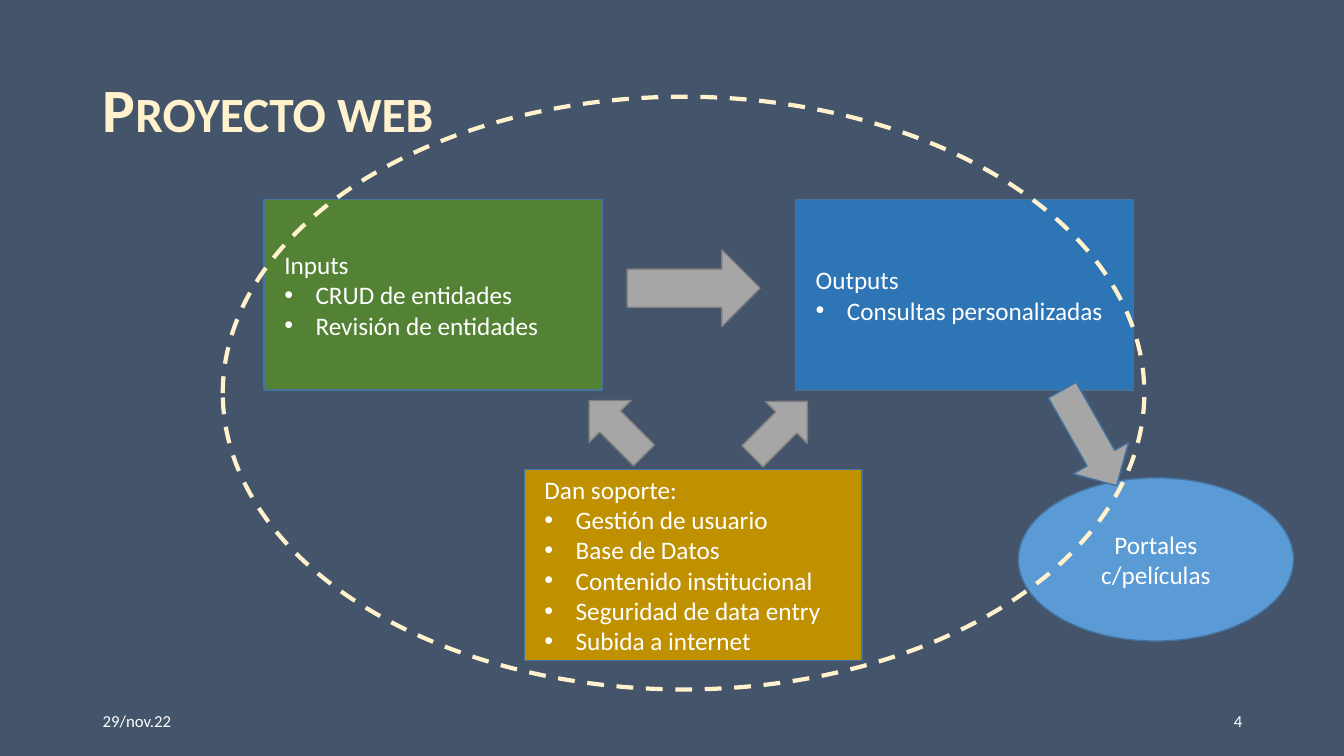
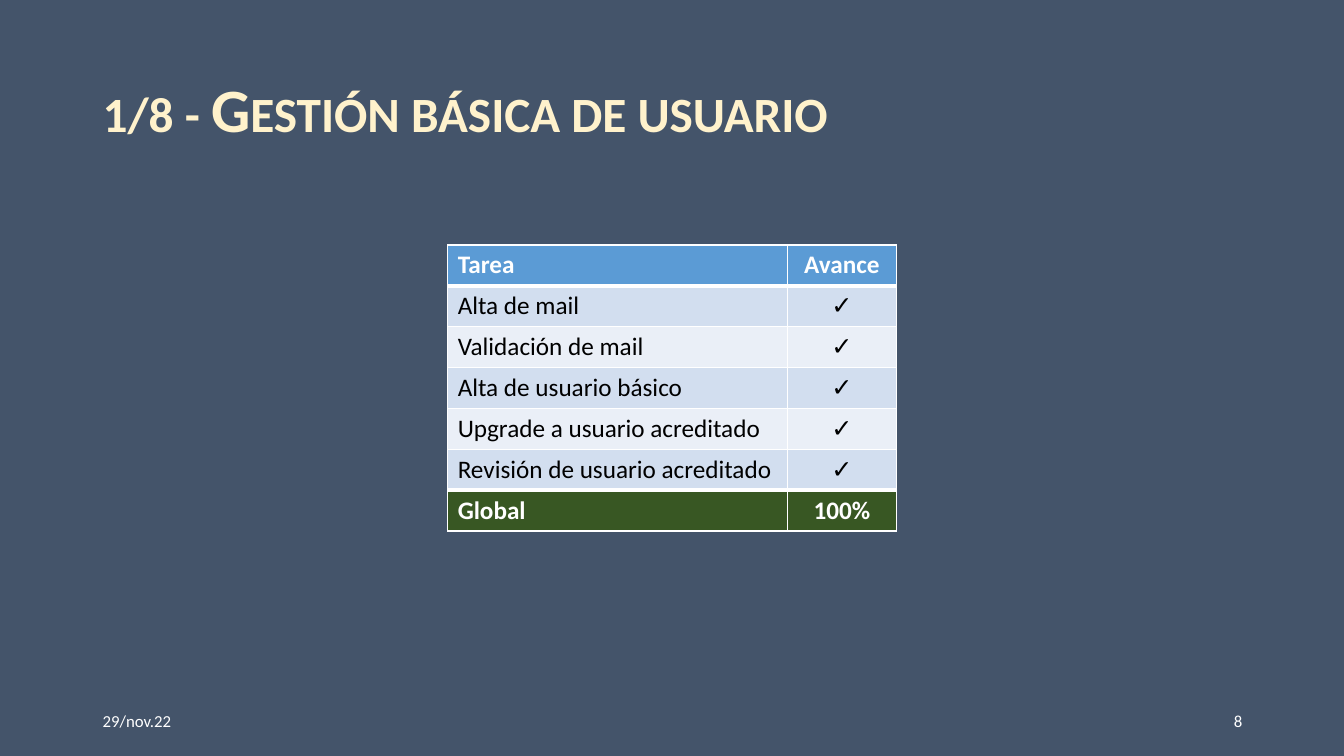
"""Build two progress slides for a web project: its scope diagram and a task table."""
from dataclasses import dataclass

from lxml.etree import SubElement
from pptx import Presentation
from pptx.dml.color import RGBColor
from pptx.enum.dml import MSO_LINE
from pptx.enum.shapes import MSO_SHAPE as Preset
from pptx.enum.text import MSO_ANCHOR as Anchor, MSO_AUTO_SIZE as AutoSize, PP_ALIGN as Align
from pptx.oxml.ns import qn
from pptx.util import Inches, Pt

FONT = "Calibri"
COLORS = {
    "background": "44546A",
    "cream": "FFF2CC",
    "white": "FFFFFF",
    "black": "000000",
    "green": "548235",
    "blue": "2E75B6",
    "gold": "BF9000",
    "sky": "5B9BD5",
    "outline": "43739E",
    "arrow": "A6A6A6",
    "arrow_edge": "808080",
    "band_dark": "D2DEEF",
    "band_light": "EAEFF7",
    "total": "385723",
}
DATE = "29/nov.22"
MARGIN = 0.92
CONTENT_WIDTH = 11.5
FOOTER_WIDTH = 3
PANEL_SIZE = (3.35, 1.89)
BULLET_INDENT = 0.31


@dataclass(frozen=True)
class Panel:
    left: float
    top: float
    color: str
    heading: str
    items: tuple[str, ...]


@dataclass(frozen=True)
class Arrow:
    left: float
    top: float
    width: float
    height: float
    rotation: float = 0
    edge: str = "arrow_edge"


@dataclass(frozen=True)
class TaskRow:
    task: str
    progress: str
    fill: str
    color: str = "black"
    bold: bool = False
    top_line: float = 1
    bottom_line: float = 1


PANELS = (
    Panel(2.62, 1.98, "green", "Inputs", ("CRUD de entidades", "Revisión de entidades")),
    Panel(7.89, 1.98, "blue", "Outputs", ("Consultas personalizadas",)),
    Panel(5.2, 4.66, "gold", "Dan soporte:", (
        "Gestión de usuario",
        "Base de Datos",
        "Contenido institucional",
        "Seguridad de data entry",
        "Subida a internet",
    )),
)
ARROWS = (
    Arrow(6.22, 2.48, 1.32, 0.76),
    Arrow(7.35, 3.96, 0.77, 0.59, 315),
    Arrow(5.73, 3.95, 0.77, 0.59, 225),
    Arrow(10.26, 4.03, 1.09, 0.63, 60.4, "outline"),
)
TASKS = (
    "Alta de mail",
    "Validación de mail",
    "Alta de usuario básico",
    "Upgrade a usuario acreditado",
    "Revisión de usuario acreditado",
)


def rgb(name: str) -> RGBColor:
    return RGBColor.from_string(COLORS[name])


def add_run(paragraph, text: str, size: float = 18, color: str = "white", bold: bool = False):
    run = paragraph.add_run()
    run.text = text
    run.font.name = FONT
    run.font.size = Pt(size)
    run.font.bold = bold
    run.font.color.rgb = rgb(color)
    return run


def add_text_box(slide, left: float, top: float, width: float, height: float):
    frame = slide.shapes.add_textbox(
        Inches(left), Inches(top), Inches(width), Inches(height)).text_frame
    frame.word_wrap = True
    return frame


def add_footer(slide, left: float, text: str, align: Align) -> None:
    frame = add_text_box(slide, left, 6.95, FOOTER_WIDTH, 0.4)
    frame.vertical_anchor = Anchor.MIDDLE
    paragraph = frame.paragraphs[0]
    paragraph.alignment = align
    add_run(paragraph, text, 12)


def add_slide(deck, title: str, number: int):
    slide = deck.slides.add_slide(deck.slide_layouts[6])
    slide.background.fill.solid()
    slide.background.fill.fore_color.rgb = rgb("background")
    frame = add_text_box(slide, MARGIN, 0.74, CONTENT_WIDTH, 0.77)
    frame.auto_size = AutoSize.SHAPE_TO_FIT_TEXT
    paragraph = frame.paragraphs[0]
    paragraph.line_spacing = 0.9
    run = add_run(paragraph, title, 44, "cream", True)
    run.font._element.set("cap", "small")
    add_footer(slide, MARGIN, DATE, Align.LEFT)
    add_footer(slide, MARGIN + CONTENT_WIDTH - FOOTER_WIDTH, str(number), Align.RIGHT)
    return slide


def add_preset(slide, preset: Preset, left: float, top: float, width: float, height: float,
               fill: str | None, line: str, line_width: float = 1):
    shape = slide.shapes.add_shape(
        preset, Inches(left), Inches(top), Inches(width), Inches(height))
    shape.shadow.inherit = False
    if fill is None:
        shape.fill.background()
    else:
        shape.fill.solid()
        shape.fill.fore_color.rgb = rgb(fill)
    shape.line.color.rgb = rgb(line)
    shape.line.width = Pt(line_width)
    return shape


def write_lines(frame, lines: tuple[str, ...], align: Align) -> list:
    frame.word_wrap = True
    frame.vertical_anchor = Anchor.MIDDLE
    paragraphs = []
    for index, line in enumerate(lines):
        paragraph = frame.add_paragraph() if index else frame.paragraphs[0]
        paragraph.alignment = align
        add_run(paragraph, line)
        paragraphs.append(paragraph)
    return paragraphs


def add_bullet(paragraph) -> None:
    properties = paragraph._p.get_or_add_pPr()
    properties.set("marL", str(Inches(BULLET_INDENT)))
    properties.set("indent", str(-Inches(BULLET_INDENT)))
    SubElement(properties, qn("a:buFont")).set("typeface", "Arial")
    SubElement(properties, qn("a:buChar")).set("char", "•")


def add_panel(slide, panel: Panel) -> None:
    box = add_preset(slide, Preset.RECTANGLE, panel.left, panel.top, *PANEL_SIZE,
                     panel.color, "outline")
    frame = box.text_frame
    frame.margin_left = frame.margin_right = Inches(0.2)
    for item in write_lines(frame, (panel.heading, *panel.items), Align.LEFT)[1:]:
        add_bullet(item)


def add_arrow(slide, arrow: Arrow) -> None:
    shape = add_preset(slide, Preset.RIGHT_ARROW, arrow.left, arrow.top,
                       arrow.width, arrow.height, "arrow", arrow.edge)
    shape.rotation = arrow.rotation


def add_borders(cell, top: float, bottom: float) -> None:
    properties = cell._tc.get_or_add_tcPr()
    for side, width in (("L", 1), ("R", 1), ("T", top), ("B", bottom)):
        line = SubElement(properties, qn(f"a:ln{side}"), w=str(Pt(width)))
        fill = SubElement(line, qn("a:solidFill"))
        SubElement(fill, qn("a:srgbClr"), val=COLORS["white"])


def add_task_table(slide, rows: list[TaskRow]) -> None:
    widths = (3.37, 1.08)
    table = slide.shapes.add_table(
        len(rows), len(widths), Inches(4.44), Inches(2.43),
        Inches(sum(widths)), Inches(2.84)).table
    for column, width in zip(table.columns, widths):
        column.width = Inches(width)
    for index, row in enumerate(rows):
        columns = ((row.task, Align.LEFT), (row.progress, Align.CENTER))
        for cell, (text, align) in zip(table.rows[index].cells, columns):
            add_borders(cell, row.top_line, row.bottom_line)
            cell.fill.solid()
            cell.fill.fore_color.rgb = rgb(row.fill)
            paragraph = cell.text_frame.paragraphs[0]
            paragraph.alignment = align
            add_run(paragraph, text, color=row.color, bold=row.bold)


def build_project_slide(deck) -> None:
    slide = add_slide(deck, "Proyecto web", 4)
    for panel in PANELS:
        add_panel(slide, panel)
    portals = add_preset(slide, Preset.OVAL, 10.1, 4.74, 2.73, 1.62, "sky", "outline")
    write_lines(portals.text_frame, ("Portales", "c/películas"), Align.CENTER)
    for arrow in ARROWS:
        add_arrow(slide, arrow)
    scope = add_preset(slide, Preset.OVAL, 2.21, 0.96, 9.14, 5.88, None, "cream", 3)
    scope.line.dash_style = MSO_LINE.DASH


def build_user_slide(deck) -> None:
    slide = add_slide(deck, "1/8 - Gestión básica de usuario", 8)
    last = len(TASKS) - 1
    rows = [TaskRow("Tarea", "Avance", "sky", "white", True, bottom_line=3)]
    for index, task in enumerate(TASKS):
        rows.append(TaskRow(
            task, "✓", "band_light" if index % 2 else "band_dark",
            top_line=3 if index == 0 else 1, bottom_line=3 if index == last else 1))
    rows.append(TaskRow("Global", "100%", "total", "white", True, top_line=3))
    add_task_table(slide, rows)


def main() -> None:
    deck = Presentation()
    deck.slide_width = Inches(13.33)
    deck.slide_height = Inches(7.5)
    build_project_slide(deck)
    build_user_slide(deck)
    deck.save("out.pptx")


if __name__ == "__main__":
    main()
